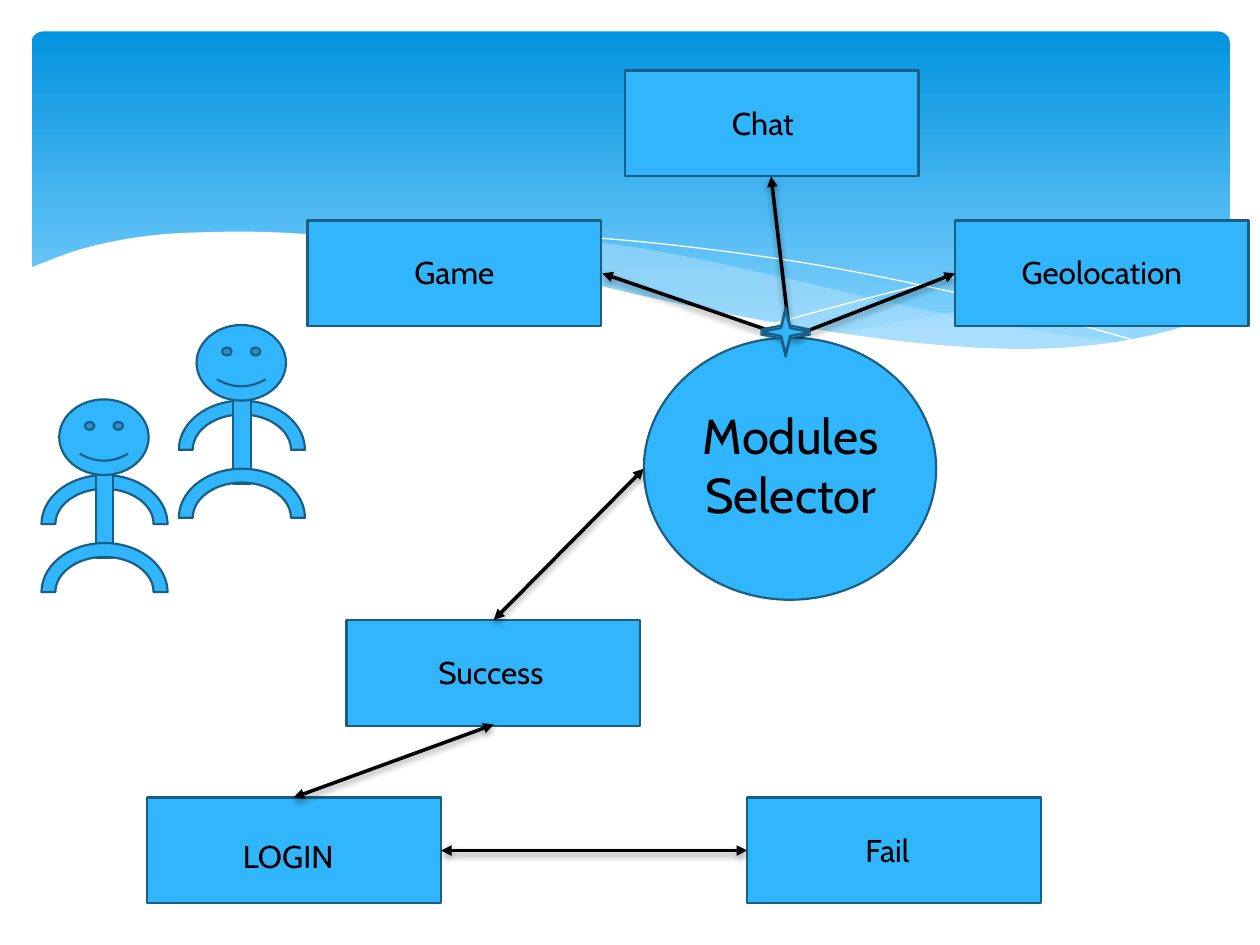
"""Build a slide that maps the login flow to the modules of an app."""
from lxml import etree
from pptx import Presentation
from pptx import util as u
from pptx.dml.color import RGBColor
from pptx.enum import shapes, text
from pptx.oxml import parse_xml
from pptx.oxml.ns import nsdecls, qn

THEME = {
    "font": "Cabin", "label": 18, "title": 28, "border": 1.25, "arrow": 2,
    "box": RGBColor.from_string("31B6FD"), "edge": RGBColor.from_string("195F84"),
    "ink": RGBColor.from_string("000000"), "paper": RGBColor.from_string("FFFFFF"),
    "mist": RGBColor.from_string("C6E7FC"), "sky_top": RGBColor.from_string("0293E0"),
    "sky_low": RGBColor.from_string("83D3FE"),
}
KINDS = shapes.MSO_SHAPE

presentation = Presentation()
presentation.slide_width, presentation.slide_height = u.Inches(10), u.Inches(7.5)
column, row = presentation.slide_width / 10, presentation.slide_height / 7.5
slide = presentation.slides.add_slide(presentation.slide_layouts[6])


def add_block(kind, left, top, width, height):
    """Add a flat blue preset shape placed in columns and rows."""
    shape = slide.shapes.add_shape(kind, int(left * column), int(top * row),
                                   int(width * column), int(height * row))
    shape.shadow.inherit = False
    shape.fill.solid()
    shape.fill.fore_color.rgb = THEME["box"]
    shape.line.color.rgb = THEME["edge"]
    shape.line.width = u.Pt(THEME["border"])
    return shape


def smooth(knots, steps=6):
    """Return points on a Catmull-Rom curve through the knots."""
    padded = [knots[0], *knots, knots[-1]]
    points = [knots[0]]
    for a, b, c, d in zip(padded, padded[1:], padded[2:], padded[3:]):
        for t in (step / steps for step in range(1, steps + 1)):
            points.append(tuple(
                (2 * q + (r - p) * t + (2 * p - 5 * q + 4 * r - s) * t ** 2
                 + (3 * q - p - 3 * r + s) * t ** 3) / 2
                for p, q, r, s in zip(a, b, c, d)))
    return points


sky = add_block(KINDS.ROUNDED_RECTANGLE, 0.25, 0.25, 9.51, 2.7)
sky.adjustments[0] = 0.034
sky.line.fill.background()
sky.fill.gradient()
sky.fill.gradient_angle = 270
for stop, position, color in zip(sky.fill.gradient_stops, (0, 0.9), ("sky_top", "sky_low")):
    stop.position = position
    stop.color.rgb = THEME[color]

waves = [
    ([[(9.76, 2), (9.35, 2.07), (8.61, 2.23), (7.53, 2.48), (6.61, 2.65)],
      [(6.61, 2.65), (7.32, 2.74), (8.03, 2.78), (8.72, 2.74), (9.28, 2.63), (9.76, 2.47)]],
     "mist", 29),
    ([[(8.93, 2.73), (8.07, 2.6), (7.06, 2.4), (6.29, 2.22), (5.41, 2.03), (4.65, 1.91),
       (3.8, 1.85), (2.86, 1.91)],
      [(2.86, 1.91), (3.62, 2.03), (4.49, 2.22), (5.66, 2.48), (6.5, 2.64), (7.22, 2.74),
       (8.07, 2.78), (8.93, 2.73)]], "mist", 40),
    ([[(3.09, 1.95), (3.63, 1.89), (4.33, 1.87), (5.1, 1.92), (6.08, 2.04), (6.95, 2.19),
       (7.95, 2.41), (9.07, 2.72)]], None, 100),
    ([[(6.13, 2.57), (6.95, 2.35), (7.76, 2.16), (8.66, 1.99), (9.24, 1.9), (9.75, 1.85)]],
     None, 100),
    ([[(9.77, 2.46), (9.3, 2.62), (8.75, 2.73), (8.09, 2.77), (7.26, 2.72), (6.26, 2.58),
       (5.29, 2.39), (4.47, 2.2), (3.65, 2.02), (2.92, 1.9), (2.3, 1.85), (1.77, 1.84),
       (1.19, 1.87), (0.67, 1.97), (0.23, 2.13)], [(0.23, 3.29), (9.77, 3.29)]], "paper", 100),
]
for edges, color, opacity in waves:
    points = [(int(x * column), int(y * row)) for edge in edges for x, y in smooth(edge)]
    builder = slide.shapes.build_freeform(*points[0])
    builder.add_line_segments(points[1:], close=color is not None)
    wave = builder.convert_to_shape()
    wave.shadow.inherit = False
    if color is None:
        wave.fill.background()
        wave.line.color.rgb = THEME["paper"]
        wave.line.width = u.Pt(0)
        continue
    wave.fill.solid()
    wave.fill.fore_color.rgb = THEME[color]
    wave.line.fill.background()
    if opacity < 100:
        tint = next(wave.element.iter(qn("a:srgbClr")))
        etree.SubElement(tint, qn("a:alpha")).set("val", str(opacity * 1000))

for left, top in [(4.96, 0.56), (7.58, 1.75), (1.17, 6.33), (2.75, 4.92), (5.93, 6.33),
                  (2.44, 1.75)]:
    add_block(KINDS.RECTANGLE, left, top, 2.33, 0.84)
add_block(KINDS.OVAL, 5.11, 2.68, 2.32, 2.08)

left_side, centre = text.PP_ALIGN.LEFT, text.PP_ALIGN.CENTER
labels = [
    ("LOGIN", 1.83, 6.59, 1, 0.4, "label", left_side),
    ("Success", 3.38, 5.13, 1.08, 0.4, "label", left_side),
    ("Fail", 6.77, 6.55, 0.67, 0.4, "label", left_side),
    ("Modules Selector", 5.39, 3.17, 1.77, 1.04, "title", centre),
    ("Game", 3.19, 1.96, 0.9, 0.42, "label", left_side),
    ("Chat", 5.71, 0.78, 0.83, 0.42, "label", left_side),
    ("Geolocation", 7.58, 1.96, 2.33, 0.42, "label", centre),
]
for wording, left, top, width, height, size, alignment in labels:
    label = slide.shapes.add_textbox(int(left * column), int(top * row),
                                     int(width * column), int(height * row))
    label.text_frame.word_wrap = True
    label.text_frame.auto_size = text.MSO_AUTO_SIZE.SHAPE_TO_FIT_TEXT
    label.text_frame.text = wording
    paragraph = label.text_frame.paragraphs[0]
    paragraph.alignment = alignment
    font = paragraph.runs[0].font
    font.name, font.size = THEME["font"], u.Pt(THEME[size])
    font.color.rgb = THEME["ink"]

for left, top in [(0.33, 3.17), (1.42, 2.58)]:
    for kind, x, y, width, height in [
            (KINDS.BLOCK_ARC, 0, 0.6, 1, 0.78), (KINDS.RECTANGLE, 0.43, 0.54, 0.14, 0.72),
            (KINDS.SMILEY_FACE, 0.14, 0, 0.71, 0.6), (KINDS.BLOCK_ARC, 0, 1.14, 1, 0.78)]:
        limb = add_block(kind, left + x, top + y, width, height)
        if kind == KINDS.BLOCK_ARC:
            for index, value in enumerate((108, 0, 0.141)):
                limb.adjustments[index] = value

hub = (6.27, 2.68)
for start, end in [((3.5, 6.75), (5.93, 6.75)), ((2.33, 6.33), (3.92, 5.75)),
                   ((3.92, 4.92), (5.11, 3.72)), (hub, (4.78, 2.17)),
                   (hub, (6.12, 1.4)), (hub, (7.58, 2.17))]:
    arrow = slide.shapes.add_connector(
        shapes.MSO_CONNECTOR.STRAIGHT, int(start[0] * column), int(start[1] * row),
        int(end[0] * column), int(end[1] * row))
    arrow.line.color.rgb = THEME["ink"]
    arrow.line.width = u.Pt(THEME["arrow"])
    outline = arrow.get_or_add_ln()
    for tip in ("a:headEnd", "a:tailEnd"):
        etree.SubElement(outline, qn(tip)).set("type", "triangle")
    arrow.element.spPr.append(parse_xml(
        f'<a:effectLst {nsdecls("a")}><a:outerShdw blurRad="{u.Pt(4)}" dist="{u.Pt(2)}" '
        f'dir="5400000" rotWithShape="0"><a:srgbClr val="{THEME["ink"]}">'
        '<a:alpha val="38000"/></a:srgbClr></a:outerShdw></a:effectLst>'))

for top in (2.44, 2.48, 2.46):
    add_block(KINDS.STAR_4_POINT, 6.04, top, 0.39, 0.35)

presentation.save("out.pptx")
